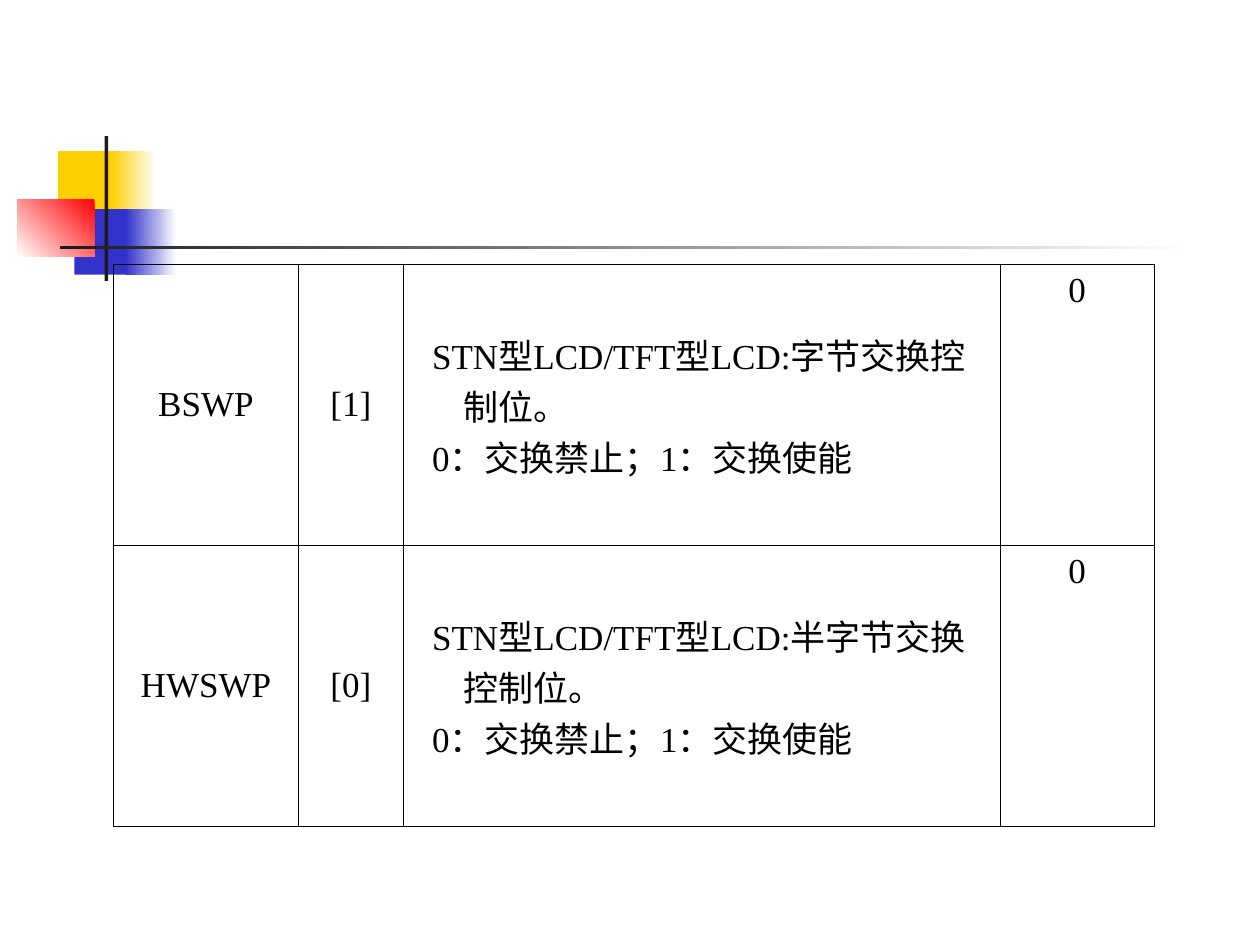
"""Build the slide with the BSWP and HWSWP register bits."""
from dataclasses import dataclass

from lxml import etree
from pptx import Presentation
from pptx import util as u
from pptx.dml.color import RGBColor
from pptx.enum import shapes, text
from pptx.oxml import ns


@dataclass(frozen=True)
class Theme:
    """Colours, font and sizes of the slide."""
    ink: str = "000000"
    paper: str = "FFFFFF"
    yellow: str = "FFCF01"
    blue: str = "3333CC"
    red: str = "FF0000"
    bar: str = "1C1C1C"
    font: str = "Times New Roman"
    size: float = 20
    border: float = 0.45


class SlideBuilder:
    """Hold the theme and the current slide."""

    def __init__(self, slide, theme):
        self.slide = slide
        self.theme = theme

    def block(self, left, top, width, height, start, end=None, angle=180):
        """Add a borderless rectangle, solid or fading from start to end."""
        rect = self.slide.shapes.add_shape(
            shapes.MSO_SHAPE.RECTANGLE, *map(u.Inches, (left, top, width, height)))
        rect.shadow.inherit = False
        rect.line.fill.background()
        if end is None:
            rect.fill.solid()
            rect.fill.fore_color.rgb = RGBColor.from_string(start)
            return
        rect.fill.gradient()
        rect.fill.gradient_angle = angle
        for stop, colour in zip(rect.fill.gradient_stops, (start, end)):
            stop.color.rgb = RGBColor.from_string(colour)

    def table(self, left, top, widths, height, rows):
        """Add a ruled table with equal row heights."""
        grid = self.slide.shapes.add_table(
            len(rows), len(widths), u.Inches(left), u.Inches(top),
            u.Inches(sum(widths)), u.Inches(height * len(rows))).table
        grid.first_row = grid.horz_banding = False
        for column, width in zip(grid.columns, widths):
            column.width = u.Inches(width)
        for r, row in enumerate(rows):
            grid.rows[r].height = u.Inches(height)
            for c, content in enumerate(row):
                self.cell(grid.cell(r, c), content, c == 2, c == len(row) - 1)

    def cell(self, cell, content, is_description, is_default):
        """Fill and format one cell."""
        cell.fill.background()
        self.rule(cell)
        anchor = text.MSO_ANCHOR
        cell.vertical_anchor = anchor.TOP if is_default else anchor.MIDDLE
        cell.text = content
        for paragraph in cell.text_frame.paragraphs:
            paragraph.alignment = (
                text.PP_ALIGN.LEFT if is_description else text.PP_ALIGN.CENTER)
            margins = paragraph._p.get_or_add_pPr()
            margins.set("marL", str(u.Inches(0.38)))
            margins.set("indent", str(u.Inches(-0.25 if is_description else -0.38)))
            paragraph.font.name = self.theme.font
            paragraph.font.size = u.Pt(self.theme.size)
            paragraph.font.color.rgb = RGBColor.from_string(self.theme.ink)

    def rule(self, cell):
        """Draw the four borders of a cell."""
        properties = cell._tc.get_or_add_tcPr()
        for position, side in enumerate("LRTB"):
            edge = etree.Element(
                ns.qn(f"a:ln{side}"), w=str(u.Pt(self.theme.border)))
            fill = etree.SubElement(edge, ns.qn("a:solidFill"))
            etree.SubElement(fill, ns.qn("a:srgbClr"), val=self.theme.ink)
            properties.insert(position, edge)


def main():
    """Build and save the slide."""
    deck = Presentation()
    deck.slide_width, deck.slide_height = u.Inches(10), u.Inches(7.5)
    theme = Theme()
    builder = SlideBuilder(deck.slides.add_slide(deck.slide_layouts[6]), theme)

    builder.block(0.46, 1.2, 0.48, 0.52, theme.yellow)
    builder.block(0.88, 1.2, 0.36, 0.52, theme.paper, theme.yellow)
    builder.block(0.59, 1.66, 0.46, 0.52, theme.blue)
    builder.block(1, 1.66, 0.4, 0.52, theme.paper, theme.blue)
    builder.block(0.14, 1.58, 0.61, 0.46, theme.red, theme.paper, angle=225)
    builder.block(0.83, 1.08, 0.03, 1.15, theme.bar)
    builder.block(0.48, 1.95, 9, 0.03, theme.paper, theme.bar)

    bits = [("BSWP", "[1]", "字节"), ("HWSWP", "[0]", "半字节")]
    rows = [
        (name, bit,
         f"STN型LCD/TFT型LCD:{unit}交换控制位。\n0：交换禁止；1：交换使能", "0")
        for name, bit, unit in bits
    ]
    builder.table(0.9, 2.1, (1.47, 0.83, 4.74, 1.22), 2.23, rows)
    deck.save("out.pptx")


if __name__ == "__main__":
    main()
